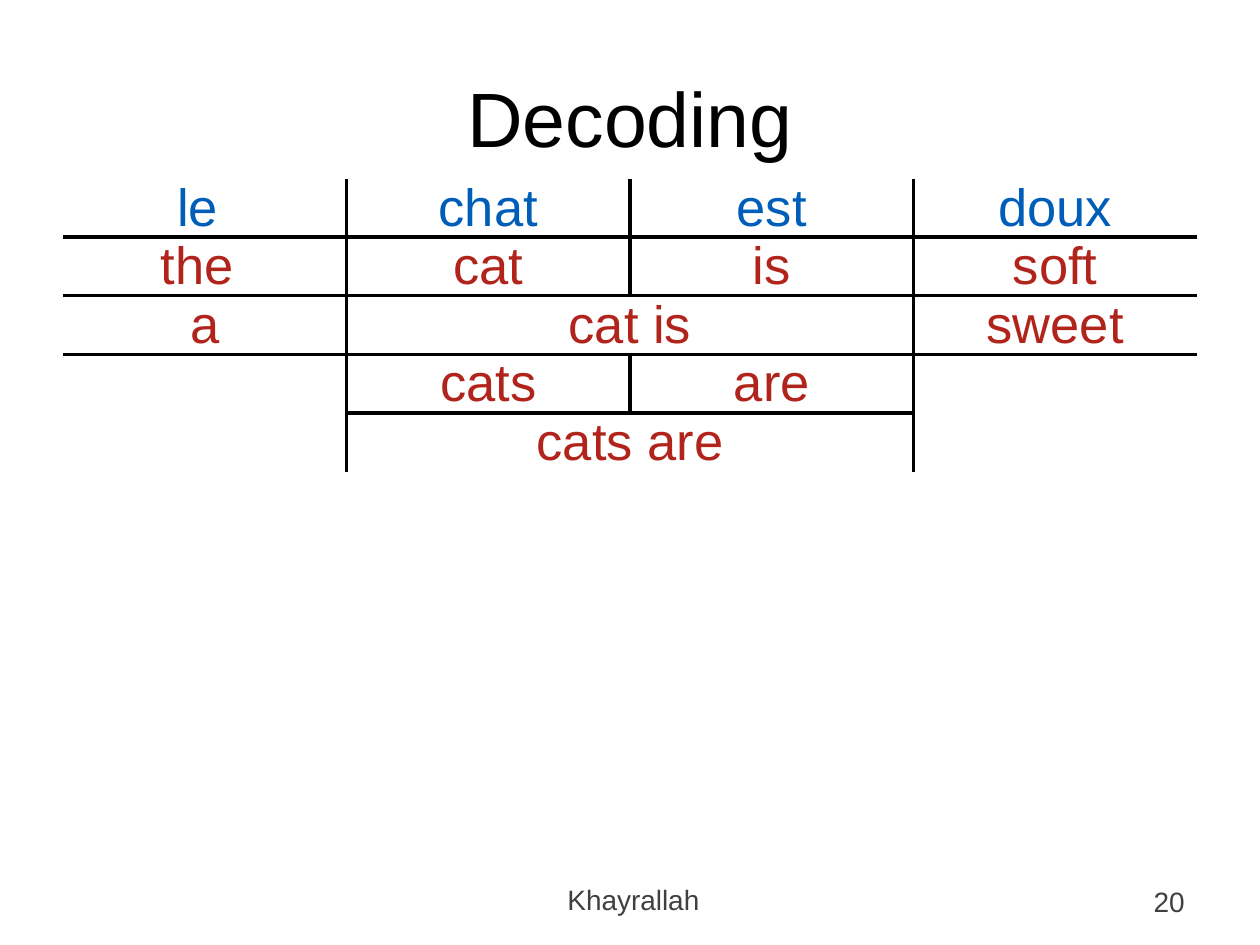
"""Build the Decoding slide: a source sentence above its translation options."""
from lxml.etree import fromstring
from pptx import Presentation
from pptx.dml.color import RGBColor
from pptx.enum.text import MSO_ANCHOR, PP_ALIGN
from pptx.util import Cm, Pt

HUES = {"ink": "000000", "blue": "005EB8", "red": "B1241C", "gray": "404040"}
NS = "http://schemas.openxmlformats.org/drawingml/2006/main"


def write(frame, text, size=30, hue="ink", align=PP_ALIGN.CENTER):
    para = frame.paragraphs[0]
    para.alignment = align
    run = para.add_run()
    run.text = text
    run.font.size = Pt(size)
    run.font.name = "Arial"
    run.font.color.rgb = RGBColor.from_string(HUES[hue])


def edge(cell, sides):
    props = cell._tc.get_or_add_tcPr()
    solid = f'<a:solidFill><a:srgbClr val="{HUES["ink"]}"/></a:solidFill>'
    for spot, side in enumerate("LRTB"):
        fill = solid if side in sides else "<a:noFill/>"
        props.insert(spot, fromstring(
            f'<a:ln{side} xmlns:a="{NS}" w="{Pt(2.25)}">{fill}</a:ln{side}>'))


deck = Presentation()
deck.slide_width, deck.slide_height = Cm(25.4), Cm(19.05)
slide = deck.slides.add_slide(deck.slide_layouts[5])

title = slide.shapes.title
title.left, title.top = Cm(1.27), Cm(0.76)
title.width, title.height = Cm(22.86), Cm(3.18)
title.text_frame.vertical_anchor = MSO_ANCHOR.MIDDLE
write(title.text_frame, "Decoding", size=44)

blank = [""] * 4
source = [["le ", "chat", "est", "doux"]] + [blank] * 5
target = [
    blank,
    ["the ", "cat", "is", "soft"],
    ["a", "cat is", "", "sweet"],
    ["", "cats", "are", ""],
    ["", "cats are", "", ""],
]
wide = (2, 4)

for words, hue, ruled in ((source, "blue", False), (target, "red", True)):
    rows, cols = len(words), len(words[0])
    frame = slide.shapes.add_table(
        rows, cols, Cm(1.27), Cm(3.6), Cm(22.86), Cm(1.18 * rows))
    table = frame.table
    table.first_row = table.horz_banding = False
    for row in table.rows:
        row.height = Cm(1.18)
    for r in wide:
        table.cell(r, 1).merge(table.cell(r, 2))
    for r, line in enumerate(words):
        for c, word in enumerate(line):
            cell = table.cell(r, c)
            cell.margin_left = cell.margin_right = 0
            cell.margin_top = cell.margin_bottom = 0
            cell.vertical_anchor = MSO_ANCHOR.MIDDLE
            cell.fill.background()
            if word:
                write(cell.text_frame, word, hue=hue)
            last = 4 if c in (1, 2) else 3
            rules = {
                "L": c > 0 and not (r in wide and c == 2),
                "R": c < cols - 1 and not (r in wide and c == 1),
                "T": 0 < r <= last,
                "B": r < last,
            }
            edge(cell, [side for side in rules if ruled and rules[side]])
    frame.height = Cm(1.27 * rows)

for text, left, width, align, anchor in (
    ("Khayrallah", 7.13, 11.28, PP_ALIGN.CENTER, MSO_ANCHOR.TOP),
    ("20", 18.21, 5.92, PP_ALIGN.RIGHT, MSO_ANCHOR.MIDDLE),
):
    box = slide.shapes.add_textbox(Cm(left), Cm(17.66), Cm(width), Cm(1.02))
    box.text_frame.word_wrap = True
    box.text_frame.vertical_anchor = anchor
    write(box.text_frame, text, size=16, hue="gray", align=align)

deck.save("out.pptx")
